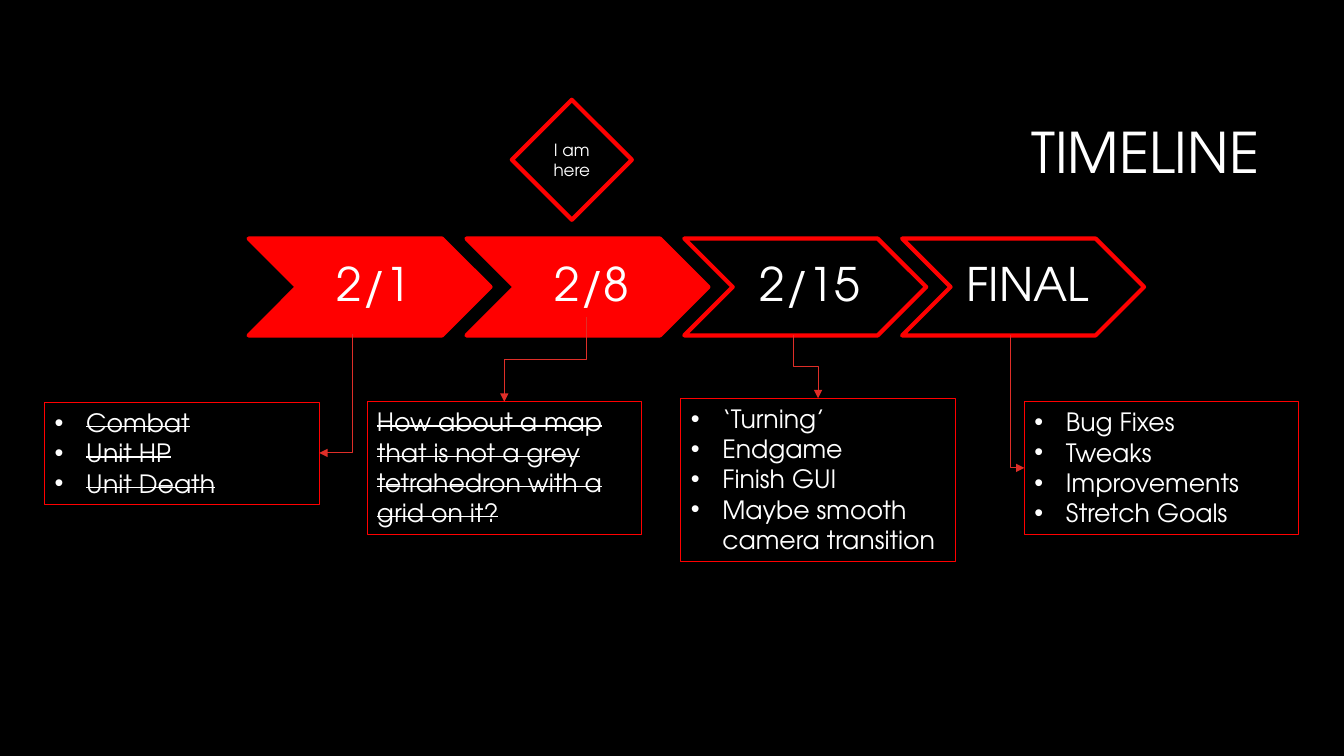
from lxml import etree
from pptx import Presentation
from pptx.dml.color import RGBColor
from pptx.enum.shapes import MSO_CONNECTOR, MSO_SHAPE
from pptx.enum.text import MSO_ANCHOR, MSO_AUTO_SIZE, PP_ALIGN
from pptx.oxml.ns import qn
from pptx.util import Pt

BLACK = RGBColor(0x00, 0x00, 0x00)
WHITE = RGBColor(0xFF, 0xFF, 0xFF)
RED = RGBColor(0xFF, 0x00, 0x00)
ARROW_RED = RGBColor(0xDF, 0x2E, 0x28)

LEFT, CENTER, RIGHT = PP_ALIGN.LEFT, PP_ALIGN.CENTER, PP_ALIGN.RIGHT
TOP, MIDDLE = MSO_ANCHOR.TOP, MSO_ANCHOR.MIDDLE
FIT_SHAPE = MSO_AUTO_SIZE.SHAPE_TO_FIT_TEXT
DIAMOND, CHEVRON, RECT = MSO_SHAPE.DIAMOND, MSO_SHAPE.CHEVRON, MSO_SHAPE.RECTANGLE
ELBOW = MSO_CONNECTOR.ELBOW


class SlideBuilder:
    font = "TeX Gyre Adventor"

    def __init__(self, slide):
        self.slide = slide
        fill = slide.background.fill
        fill.solid()
        fill.fore_color.rgb = BLACK

    def fill_text(self, sp, lines, size, align=LEFT, spacing=None, bullets=False,
                  strike=False, **frame):
        tf = sp.text_frame
        for name, value in {"word_wrap": True, "vertical_anchor": MIDDLE, **frame}.items():
            setattr(tf, name, value)
        for i, line in enumerate(lines):
            p = tf.paragraphs[0] if i == 0 else tf.add_paragraph()
            p.alignment = align
            p.line_spacing = spacing
            if bullets:
                self.bullet(p)
            r = p.add_run()
            r.text = line
            for name, value in {"name": self.font, "size": Pt(size)}.items():
                setattr(r.font, name, value)
            r.font.color.rgb = WHITE
            if strike:
                r.font._element.set("strike", "sngStrike")

    def bullet(self, p):
        pPr = p._p.get_or_add_pPr()
        pPr.set("marL", str(Pt(22.5)))
        pPr.set("indent", str(Pt(-22.5)))
        etree.SubElement(pPr, qn("a:buFont")).set("typeface", "Arial")
        etree.SubElement(pPr, qn("a:buChar")).set("char", "•")

    def text(self, box, line, size, parent=None, **fmt):
        shapes = (parent or self.slide).shapes
        sp = shapes.add_textbox(*map(Pt, box))
        self.fill_text(sp, [line], size, spacing=0.9, **fmt)

    def shape(self, kind, box, fill=None, width=3, parent=None):
        shapes = (parent or self.slide).shapes
        sp = shapes.add_shape(kind, *map(Pt, box))
        sp.shadow.inherit = False
        if fill is None:
            sp.fill.background()
        else:
            sp.fill.solid()
            sp.fill.fore_color.rgb = fill
        sp.line.color.rgb = RED
        sp.line.width = Pt(width)
        return sp

    def arrow(self, x1, y1, x2, y2, preset):
        length, drift = y2 - y1, abs(x2 - x1)
        left, top = (x1 + x2 - length) / 2, (y1 + y2 - drift) / 2
        s = self.slide.shapes.add_connector(
            ELBOW, *map(Pt, (left, top, left + length, top + drift)))
        spPr = s._element.spPr
        spPr.find(qn("a:prstGeom")).set("prst", preset)
        xfrm = spPr.find(qn("a:xfrm"))
        xfrm.set("rot", str((90 if x2 < x1 else 270) * 60000))
        if x2 > x1:
            xfrm.set("flipH", "1")
        s.line.color.rgb = ARROW_RED
        s.line.width = Pt(0.75)
        ln = spPr.find(qn("a:ln"))
        etree.SubElement(ln, qn("a:tailEnd")).set("type", "triangle")
        etree.SubElement(spPr, qn("a:effectLst"))


def main():
    prs = Presentation()
    prs.slide_width, prs.slide_height = Pt(960), Pt(540)
    b = SlideBuilder(prs.slides.add_slide(prs.slide_layouts[6]))

    b.text((228.2, 60.5, 678.2, 101.5), "TIMELINE", 40, align=RIGHT)
    marker = b.shape(DIAMOND, (365.6, 71.3, 85.7, 85.7), BLACK)
    b.fill_text(marker, ["I am here"], 12, align=CENTER)

    steps = [("2/1", RED), ("2/8", RED), ("2/15", BLACK), ("FINAL", BLACK)]
    timeline = b.slide.shapes.add_group_shape()
    for i, (label, fill) in enumerate(steps):
        x = 177.6 + 155.6 * i
        b.shape(CHEVRON, (x, 170.4, 172.8, 69.2), fill, parent=timeline)
        b.text((x + 34.6, 170.4, 103.7, 69.2), label, 33, parent=timeline,
               align=CENTER, margin_left=Pt(10), margin_right=Pt(3.6))

    notes = [
        (32, 287.5, 72.7, ["Combat", "Unit HP", "Unit Death"], True, True),
        (262.2, 287, 94.5,
         ["How about a map that is not a grey tetrahedron with a grid on it?"], False, True),
        (486.4, 284.5, 116.4,
         ["‘Turning’", "Endgame", "Finish GUI", "Maybe smooth camera transition"], True, False),
        (731.8, 287, 94.5,
         ["Bug Fixes", "Tweaks", "Improvements", "Stretch Goals"], True, False),
    ]
    for x, y, h, lines, bullets, strike in notes:
        sp = b.shape(RECT, (x, y, 196, h), width=0.75)
        b.fill_text(sp, lines, 18, bullets=bullets, strike=strike,
                    vertical_anchor=TOP, auto_size=FIT_SHAPE)

    for ends in [
        (252, 238.5, 228, 323.5, "bentConnector2"),
        (419, 226.8, 360.2, 287, "bentConnector3"),
        (567, 239.6, 584.4, 284.5, "bentConnector3"),
        (721.6, 239.6, 731.8, 334.2, "bentConnector2"),
    ]:
        b.arrow(*ends)

    prs.save("out.pptx")


if __name__ == "__main__":
    main()
